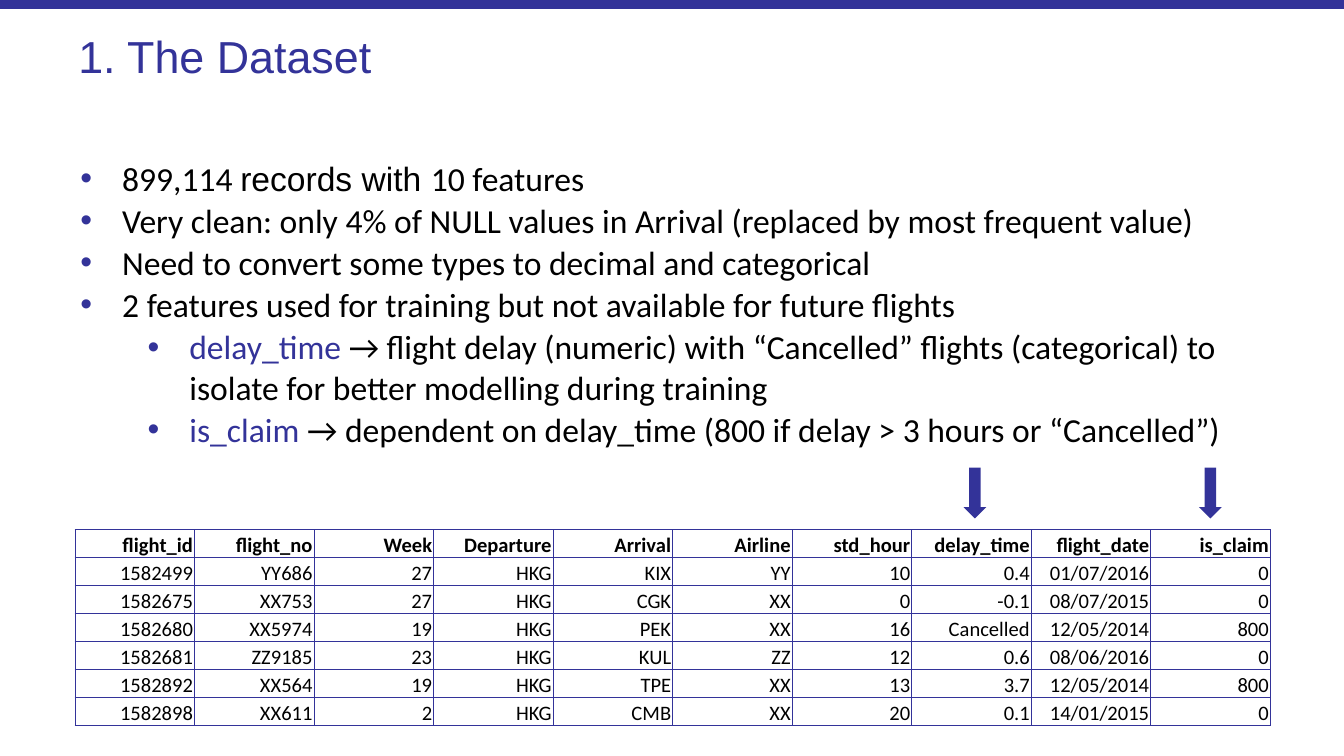
from dataclasses import dataclass

import lxml.etree
import pptx
import pptx.dml.color
import pptx.enum.shapes
import pptx.enum.text
import pptx.oxml.ns
import pptx.util
from pptx.util import Cm

INDIGO = "333399"
BLACK = "000000"
BULLET_HANG = Cm(0.79)

COLUMN_WIDTH = 2.26
ROW_HEIGHT = 0.53
TABLE_LEFT, TABLE_TOP = 1.42, 10.01


@dataclass
class Run:
    text: str
    color: str = BLACK
    font: str = "Calibri"
    size: float = 18
    bold: bool = False


@dataclass
class Bullet:
    runs: list[Run]
    level: int = 0


BULLETS = [
    Bullet([Run("899,114 "), Run("records with ", font="Arial"), Run("10 features")]),
    Bullet([Run("Very clean: only 4% of NULL values in Arrival (replaced by most frequent value)")]),
    Bullet([Run("Need to convert some types to decimal and categorical")]),
    Bullet([Run("2 features used for training but not available for future flights")]),
    Bullet([Run("delay_time ", INDIGO),
            Run("→ flight delay (numeric) with “Cancelled” flights (categorical) to "
                "isolate for better modelling during training")], 1),
    Bullet([Run("is_claim ", INDIGO),
            Run("→ dependent on delay_time (800 if delay > 3 hours or “Cancelled”)")], 1),
]

FLIGHTS = [
    ["flight_id", "flight_no", "Week", "Departure", "Arrival", "Airline",
     "std_hour", "delay_time", "flight_date", "is_claim"],
    ["1582499", "YY686", "27", "HKG", "KIX", "YY", "10", "0.4", "01/07/2016", "0"],
    ["1582675", "XX753", "27", "HKG", "CGK", "XX", "0", "-0.1", "08/07/2015", "0"],
    ["1582680", "XX5974", "19", "HKG", "PEK", "XX", "16", "Cancelled", "12/05/2014", "800"],
    ["1582681", "ZZ9185", "23", "HKG", "KUL", "ZZ", "12", "0.6", "08/06/2016", "0"],
    ["1582892", "XX564", "19", "HKG", "TPE", "XX", "13", "3.7", "12/05/2014", "800"],
    ["1582898", "XX611", "2", "HKG", "CMB", "XX", "20", "0.1", "14/01/2015", "0"],
]


def rgb(color: str) -> pptx.dml.color.RGBColor:
    return pptx.dml.color.RGBColor.from_string(color)


def add_element(parent, tag: str, **attributes: str):
    return lxml.etree.SubElement(parent, pptx.oxml.ns.qn(tag), attributes)


def add_runs(paragraph, runs: list[Run]) -> None:
    for item in runs:
        run = paragraph.add_run()
        run.text = item.text
        run.font.name = item.font
        run.font.size = pptx.util.Pt(item.size)
        run.font.bold = item.bold
        run.font.color.rgb = rgb(item.color)


def add_text_frame(slide, left: float, top: float, width: float, height: float):
    """Add a wrapping text box with almost no margins and return its frame."""
    frame = slide.shapes.add_textbox(Cm(left), Cm(top), Cm(width), Cm(height)).text_frame
    frame.word_wrap = True
    frame.margin_left = frame.margin_right = frame.margin_bottom = 0
    frame.margin_top = Cm(0.03)
    return frame


def add_title(slide, text: str) -> None:
    frame = add_text_frame(slide, 1.48, 0.51, 16.3, 1.07)
    frame.vertical_anchor = pptx.enum.text.MSO_ANCHOR.MIDDLE
    paragraph = frame.paragraphs[0]
    paragraph.space_before = pptx.util.Pt(1.1)
    add_runs(paragraph, [Run(text, INDIGO, "Arial", 24)])


def add_top_rule(slide, width: int) -> None:
    rule = slide.shapes.add_connector(
        pptx.enum.shapes.MSO_CONNECTOR.STRAIGHT, 0, Cm(0.08), width, Cm(0.08))
    rule.line.color.rgb = rgb(INDIGO)
    rule.line.width = pptx.util.Pt(4.92)
    add_element(rule._element.spPr, "a:effectLst")


def add_bullets(slide, bullets: list[Bullet]) -> None:
    frame = add_text_frame(slide, 1.48, 2.95, 22.6, 6.4)
    for index, bullet in enumerate(bullets):
        paragraph = frame.add_paragraph() if index else frame.paragraphs[0]
        paragraph.level = bullet.level
        paragraph.space_before = pptx.util.Pt(1)
        properties = paragraph._p.get_or_add_pPr()
        properties.set("marL", str(Cm(0.83 + 1.27 * bullet.level)))
        properties.set("indent", str(-BULLET_HANG))
        bullet_color = add_element(properties, "a:buClr")
        add_element(bullet_color, "a:srgbClr", val=INDIGO)
        add_element(properties, "a:buFont", typeface="Arial")
        add_element(properties, "a:buChar", char="•")
        add_runs(paragraph, bullet.runs)


def set_borders(cell) -> None:
    properties = cell._tc.get_or_add_tcPr()
    for index, side in enumerate(("a:lnL", "a:lnR", "a:lnT", "a:lnB")):
        border = add_element(properties, side, w=str(pptx.util.Pt(0.5)))
        fill = add_element(border, "a:solidFill")
        add_element(fill, "a:srgbClr", val=INDIGO)
        properties.insert(index, border)  # borders precede the cell fill


def add_flight_table(slide, rows: list[list[str]]) -> None:
    row_count, column_count = len(rows), len(rows[0])
    table = slide.shapes.add_table(
        row_count, column_count, Cm(TABLE_LEFT), Cm(TABLE_TOP),
        Cm(COLUMN_WIDTH * column_count), Cm(ROW_HEIGHT * row_count)).table
    table.first_row = table.horz_banding = False
    for column in table.columns:
        column.width = Cm(COLUMN_WIDTH)
    for row_index, values in enumerate(rows):
        table.rows[row_index].height = Cm(ROW_HEIGHT)
        for column_index, value in enumerate(values):
            cell = table.cell(row_index, column_index)
            cell.margin_left = cell.margin_right = cell.margin_top = Cm(0.03)
            cell.margin_bottom = 0
            cell.vertical_anchor = pptx.enum.text.MSO_ANCHOR.BOTTOM
            cell.fill.background()
            set_borders(cell)
            paragraph = cell.text_frame.paragraphs[0]
            paragraph.alignment = pptx.enum.text.PP_ALIGN.RIGHT
            add_runs(paragraph, [Run(value, size=11, bold=row_index == 0)])


def add_down_arrow(slide, left: float) -> None:
    arrow = slide.shapes.add_shape(
        pptx.enum.shapes.MSO_SHAPE.DOWN_ARROW, Cm(left), Cm(8.84), Cm(0.43), Cm(0.96))
    arrow.shadow.inherit = False
    arrow.fill.solid()
    arrow.fill.fore_color.rgb = rgb(INDIGO)
    arrow.line.fill.background()


def main() -> None:
    presentation = pptx.Presentation()
    presentation.slide_width = Cm(25.4)
    presentation.slide_height = Cm(14.29)
    slide = presentation.slides.add_slide(presentation.slide_layouts[6])
    add_title(slide, "1. The Dataset")
    add_top_rule(slide, presentation.slide_width)
    add_bullets(slide, BULLETS)
    add_flight_table(slide, FLIGHTS)
    for left in (22.66, 18.21):
        add_down_arrow(slide, left)
    presentation.save("out.pptx")


if __name__ == "__main__":
    main()
